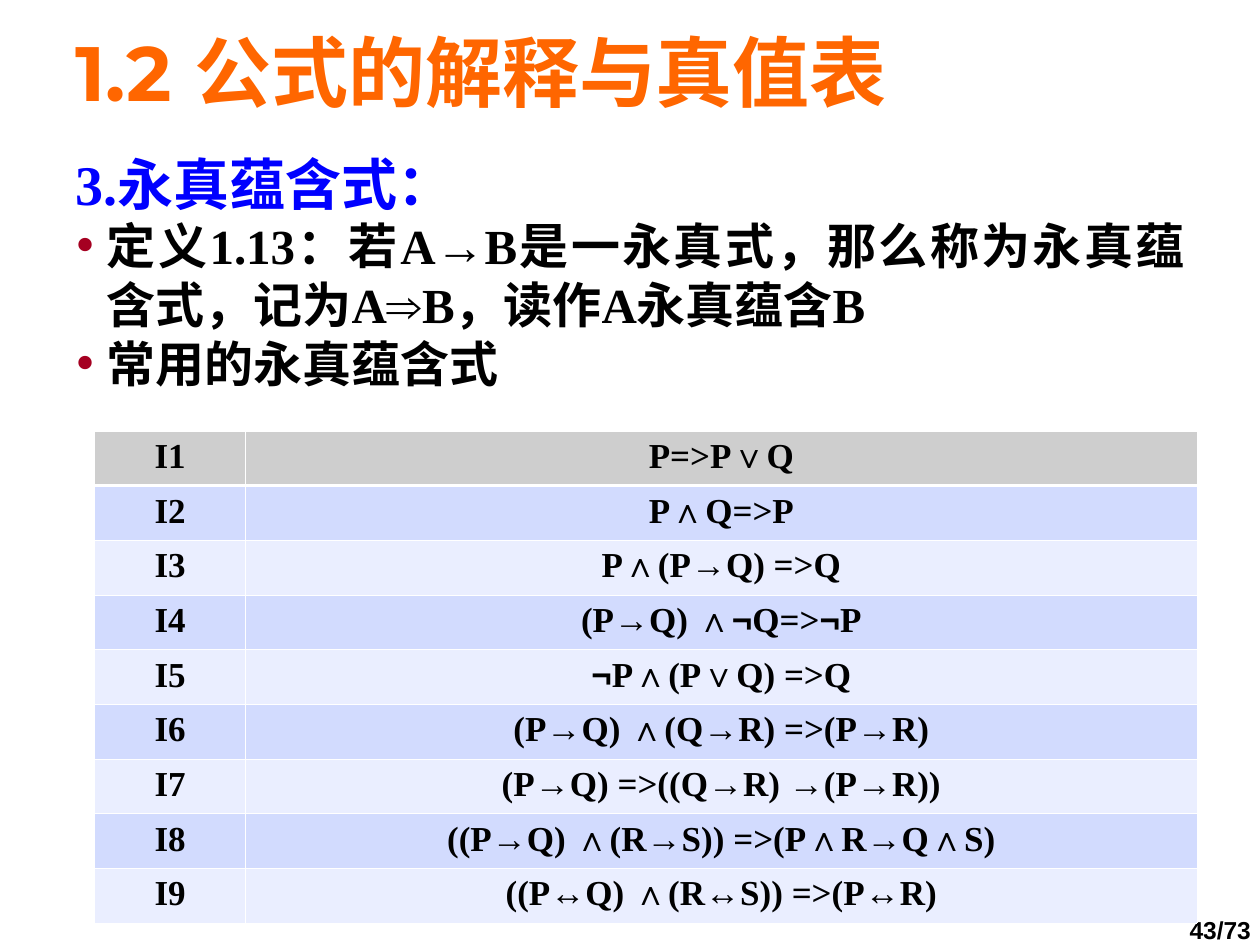
from itertools import groupby

from lxml.etree import SubElement as Sub
from pptx import Presentation
from pptx.dml.color import RGBColor as Rgb
from pptx.enum.text import MSO_ANCHOR as Anchor, MSO_AUTO_SIZE as Auto, PP_ALIGN as Align
from pptx.oxml.ns import qn
from pptx.util import Inches as In, Pt

ORANGE = Rgb(0xFF, 0x66, 0x00)
BLUE = Rgb(0x00, 0x00, 0xFF)
BLACK = Rgb(0x00, 0x00, 0x00)
WHITE = Rgb(0xFF, 0xFF, 0xFF)
RED = Rgb(0xA5, 0x00, 0x21)
GRAY = Rgb(0xCE, 0xCE, 0xCE)
BANDS = Rgb(0xEA, 0xEE, 0xFF), Rgb(0xD2, 0xDB, 0xFE)
SERIF = "Times New Roman"
SANS = "Arial"
SIGNS = "⇒¬"

POINTS = [
    "定义1.13：若A→B是一永真式，那么称为永真蕴含式，记为A⇒B，读作A永真蕴含B",
    "常用的永真蕴含式",
]
LAWS = [
    "P=>P∨Q",
    "P∧Q=>P",
    "P∧(P→Q) =>Q",
    "(P→Q) ∧¬Q=>¬P",
    "¬P∧(P∨Q) =>Q",
    "(P→Q) ∧(Q→R) =>(P→R)",
    "(P→Q) =>((Q→R) →(P→R))",
    "((P→Q) ∧(R→S)) =>(P∧R→Q∧S)",
    "((P↔Q) ∧(R↔S)) =>(P↔R)",
]


def write(para, text, size, color=BLACK, face=SERIF, align=Align.LEFT, lead=1.0):
    para.alignment = align
    para.line_spacing = lead
    for sign, part in groupby(text, lambda char: char in SIGNS):
        run = para.add_run()
        run.text = "".join(part)
        font = run.font
        font.name = SANS if sign else face
        font.size = Pt(size)
        font.bold = True
        font.color.rgb = color


def indent(para):
    props = para._p.get_or_add_pPr()
    props.set("marL", str(In(0.25)))
    props.set("indent", str(-In(0.25)))
    return props


def bullet(para):
    props = indent(para)
    Sub(Sub(props, qn("a:buClr")), qn("a:srgbClr"), val=str(RED))
    Sub(props, qn("a:buSzPct"), val="114000")
    Sub(props, qn("a:buFont"), typeface=SERIF)
    Sub(props, qn("a:buChar"), char="•")


def add_title(slide):
    title = slide.shapes.title
    title.left, title.top, title.width, title.height = In(0.5), In(0.25), In(9), In(0.7)
    frame = title.text_frame
    frame.auto_size = Auto.NONE
    frame.vertical_anchor = Anchor.MIDDLE
    para = frame.paragraphs[0]
    para.space_before = Pt(13.8)
    write(para, "1.2 公式的解释与真值表", 44, ORANGE, "Montserrat", lead=0.93)


def add_body(slide):
    frame = slide.shapes.add_textbox(In(0.5), In(1.25), In(9), In(2)).text_frame
    frame.word_wrap = True
    head = frame.paragraphs[0]
    indent(head)
    write(head, "3.永真蕴含式：", 32, BLUE, lead=0.77)
    for point in POINTS:
        para = frame.add_paragraph()
        write(para, point, 28, align=Align.JUSTIFY)
        bullet(para)


def border(cell, below):
    props = cell._tc.get_or_add_tcPr()
    for side in "LRTB":
        width = Pt(1.47 if side == below else 0.45)
        line = Sub(props, qn(f"a:ln{side}"), w=str(width))
        Sub(Sub(line, qn("a:solidFill")), qn("a:srgbClr"), val=str(WHITE))


def add_laws(slide):
    table = slide.shapes.add_table(len(LAWS), 2, In(0.75), In(3.42), In(8.75), In(3.9)).table
    table.columns[0].width, table.columns[1].width = In(1.2), In(7.55)
    for row, law in enumerate(LAWS):
        for col, text in enumerate((f"I{row + 1}", law)):
            cell = table.cell(row, col)
            border(cell, {0: "B", 1: "T"}.get(row))
            cell.fill.solid()
            cell.fill.fore_color.rgb = BANDS[row % 2] if row else GRAY
            write(cell.text_frame.paragraphs[0], text, 20, align=Align.CENTER)


def add_page(slide):
    frame = slide.shapes.add_textbox(In(8.98), In(7.25), In(1.41), In(0.3)).text_frame
    frame.word_wrap = False
    frame.vertical_anchor = Anchor.MIDDLE
    para = frame.paragraphs[0]
    para.space_before = Pt(8.8)
    write(para, "43/73", 14, face=SANS, align=Align.CENTER, lead=0.85)


def main():
    deck = Presentation()
    deck.slide_width, deck.slide_height = In(10), In(7.5)
    slide = deck.slides.add_slide(deck.slide_layouts[5])
    add_page(slide)
    add_title(slide)
    add_body(slide)
    add_laws(slide)
    deck.save("out.pptx")


if __name__ == "__main__":
    main()
